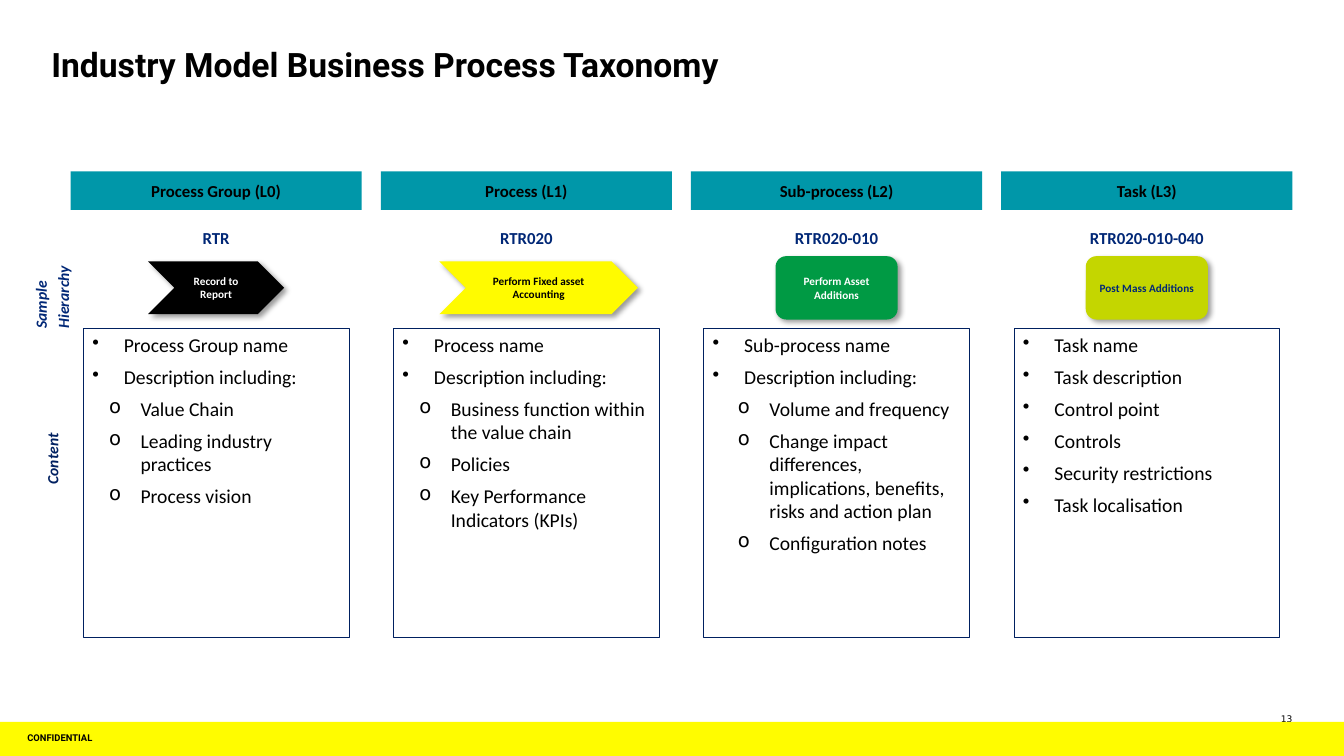
from lxml import etree
from pptx import Presentation
from pptx.dml.color import RGBColor
from pptx.enum import shapes, text
from pptx.oxml import ns
from pptx.util import Pt

BLACK, WHITE, NAVY, INK = "000000", "FFFFFF", "002776", "002060"
TEAL, YELLOW, GREEN, LIME = "0097A9", "FFFB00", "009A44", "C4D600"
SHAPE = shapes.MSO_SHAPE
LEFT, CENTER, RIGHT = text.PP_ALIGN.LEFT, text.PP_ALIGN.CENTER, text.PP_ALIGN.RIGHT
TOP, MIDDLE = text.MSO_ANCHOR.TOP, text.MSO_ANCHOR.MIDDLE

FIRST_LEFT, PITCH, COLUMN_WIDTH = 50.4, 221.6, 208
PANEL_WIDTH = 190
SUB_INDENT, WIDE_SUB_INDENT = 34.5, 40.5

# Each item is (level, wording); each step is (preset, wording, fill, ink, width, height, shift).
COLUMNS = [
    ("Process Group (L0)", "RTR", 23,
     (SHAPE.CHEVRON, "Record to Report", BLACK, WHITE, 97.2, 37.6, 0), SUB_INDENT,
     [(0, "Process Group name"), (0, "Description including:"), (1, "Value Chain"),
      (1, "Leading industry practices"), (1, "Process vision")]),
    ("Process (L1)", "RTR020", 46.8,
     (SHAPE.CHEVRON, "Perform Fixed asset Accounting", YELLOW, BLACK, 141.8, 37.6, 8.8), SUB_INDENT,
     [(0, "Process name"), (0, "Description including:"),
      (1, "Business function within the value chain"), (1, "Policies"),
      (1, "Key Performance Indicators (KPIs)")]),
    ("Sub-process (L2)", "RTR020-010", 74.2,
     (SHAPE.ROUNDED_RECTANGLE, "Perform Asset Additions", GREEN, WHITE, 87.2, 45.2, 0), WIDE_SUB_INDENT,
     [(0, "Sub-process name"), (0, "Description including:"), (1, "Volume and frequency"),
      (1, "Change impact differences, implications, benefits, risks and action plan"),
      (1, "Configuration notes")]),
    ("Task (L3)", "RTR020-010-040", 101.6,
     (SHAPE.ROUNDED_RECTANGLE, "Post Mass Additions", LIME, NAVY, 87.2, 45.2, 0), SUB_INDENT,
     [(0, "Task name"), (0, "Task description"), (0, "Control point"), (0, "Controls"),
      (0, "Security restrictions"), (0, "Task localisation")]),
]


def color(hex_value):
    """Turn a hex string into a colour."""
    return RGBColor.from_string(hex_value)


def prepare_frame(frame, inset_x, inset_y, anchor, wrap=True):
    """Set insets, anchor and wrapping of a text frame."""
    frame.margin_left = frame.margin_right = Pt(inset_x)
    frame.margin_top = frame.margin_bottom = Pt(inset_y)
    frame.vertical_anchor = anchor
    frame.word_wrap = wrap


def write(paragraph, wording, size, ink, font="Calibri", bold=True, italic=False, align=LEFT):
    """Add one formatted run to a paragraph."""
    paragraph.alignment = align
    run = paragraph.add_run()
    run.text = wording
    run.font.name = font
    run.font.size = Pt(size)
    run.font.bold = bold
    run.font.italic = italic
    run.font.color.rgb = color(ink)


def add_label(slide, box, lines, size, ink, inset=0, anchor=TOP, wrap=True, rotation=0,
              space_after=0, **style):
    """Add a text box with one paragraph per line."""
    label = slide.shapes.add_textbox(*map(Pt, box))
    label.rotation = rotation
    frame = label.text_frame
    prepare_frame(frame, inset, inset, anchor, wrap)
    for index, line in enumerate(lines):
        paragraph = frame.add_paragraph() if index else frame.paragraphs[0]
        paragraph.space_after = Pt(space_after)
        write(paragraph, line, size, ink, **style)
    return label


def add_block(slide, preset, box, fill=None, outline=None):
    """Add a preset shape with a plain fill or outline."""
    block = slide.shapes.add_shape(preset, *map(Pt, box))
    block.shadow.inherit = False
    if fill:
        block.fill.solid()
        block.fill.fore_color.rgb = color(fill)
    else:
        block.fill.background()
    if outline:
        block.line.color.rgb = color(outline)
        block.line.width = Pt(0.5)
    else:
        block.line.fill.background()
    return block


def add_drop_shadow(block):
    """Give a block a soft shadow to the lower right."""
    effects = block._element.spPr.find(ns.qn("a:effectLst"))
    shadow = etree.SubElement(effects, ns.qn("a:outerShdw"), blurRad=str(Pt(4)), dist=str(Pt(3)),
                              dir="2700000", algn="tl", rotWithShape="0")
    tint = etree.SubElement(shadow, ns.qn("a:srgbClr"), val=BLACK)
    etree.SubElement(tint, ns.qn("a:alpha"), val="40000")


def add_header(slide, left, title):
    """Add the teal heading of a column."""
    header = add_block(slide, SHAPE.RECTANGLE, (left, 122.4, COLUMN_WIDTH, 27.5), TEAL)
    prepare_frame(header.text_frame, 5.8, 5.8, MIDDLE)
    write(header.text_frame.paragraphs[0], title, 12, BLACK, align=CENTER)


def add_step(slide, center, preset, wording, fill, ink, width, height, shift):
    """Add the sample process shape of a column."""
    box = (center + shift - width / 2, 205.6 - height / 2, width, height)
    step = add_block(slide, preset, box, fill)
    add_drop_shadow(step)
    prepare_frame(step.text_frame, 6.5, 3, MIDDLE)
    write(step.text_frame.paragraphs[0], wording, 8, ink, align=CENTER)


def add_bullet(paragraph, symbol, indent):
    """Give a paragraph a hanging bullet."""
    properties = paragraph._p.get_or_add_pPr()
    properties.set("marL", str(Pt(indent)))
    properties.set("indent", str(Pt(-22.5)))
    etree.SubElement(properties, ns.qn("a:buChar"), char=symbol)


def add_panel(slide, center, sub_indent, items):
    """Add the outlined bullet list of a column."""
    box = (center - PANEL_WIDTH / 2, 234.7, PANEL_WIDTH, 220.8)
    frame = add_block(slide, SHAPE.RECTANGLE, box, outline=INK).text_frame
    prepare_frame(frame, 6.5, 3, TOP)
    for index, (level, wording) in enumerate(items):
        paragraph = frame.add_paragraph() if index else frame.paragraphs[0]
        add_bullet(paragraph, "o" if level else "•", sub_indent if level else 22.5)
        paragraph.level = level
        if index:
            paragraph.space_before = Pt(6)
        write(paragraph, wording, 14, BLACK, bold=False)


def add_footer(slide):
    """Add the page number and the yellow confidentiality bar."""
    add_label(slide, (898.6, 509.8, 24.5, 7.9), ["13"], 6.5, BLACK,
              font="DejaVu Sans", bold=False, align=RIGHT)
    add_block(slide, SHAPE.RECTANGLE, (0, 515.6, 960, 24.4), "FFFC00")
    notice = add_label(slide, (17.3, 515.6, 130.3, 24.4), ["CONFIDENTIAL"], 6.7, BLACK,
                       inset=2.2, anchor=MIDDLE, font="Roboto")
    notice.text_frame.paragraphs[0].line_spacing = 0.8


def main():
    """Build the taxonomy slide."""
    deck = Presentation()
    deck.slide_width, deck.slide_height = Pt(960), Pt(540)
    slide = deck.slides.add_slide(deck.slide_layouts[6])
    add_footer(slide)
    add_label(slide, (36.7, 31.7, 886.3, 54.7), ["Industry Model Business Process Taxonomy"],
              24, BLACK, font="Roboto")
    for index, (title, code, code_width, step, sub_indent, items) in enumerate(COLUMNS):
        left = FIRST_LEFT + index * PITCH
        center = left + COLUMN_WIDTH / 2
        add_header(slide, left, title)
        add_label(slide, (center - code_width / 2, 162.7, code_width, 14.6), [code], 12, NAVY,
                  wrap=False, space_after=2.6, align=CENTER)
        add_step(slide, center, *step)
        add_panel(slide, center, sub_indent, items)
    add_label(slide, (11.5, 193.7, 51.8, 30.2), ["Sample", "Hierarchy"], 11.1, NAVY,
              rotation=270, space_after=2.6, italic=True)
    add_label(slide, (5.8, 307.4, 63.4, 13.7), ["Content"], 11.1, INK,
              rotation=270, space_after=2.6, italic=True)
    deck.save("out.pptx")


if __name__ == "__main__":
    main()
